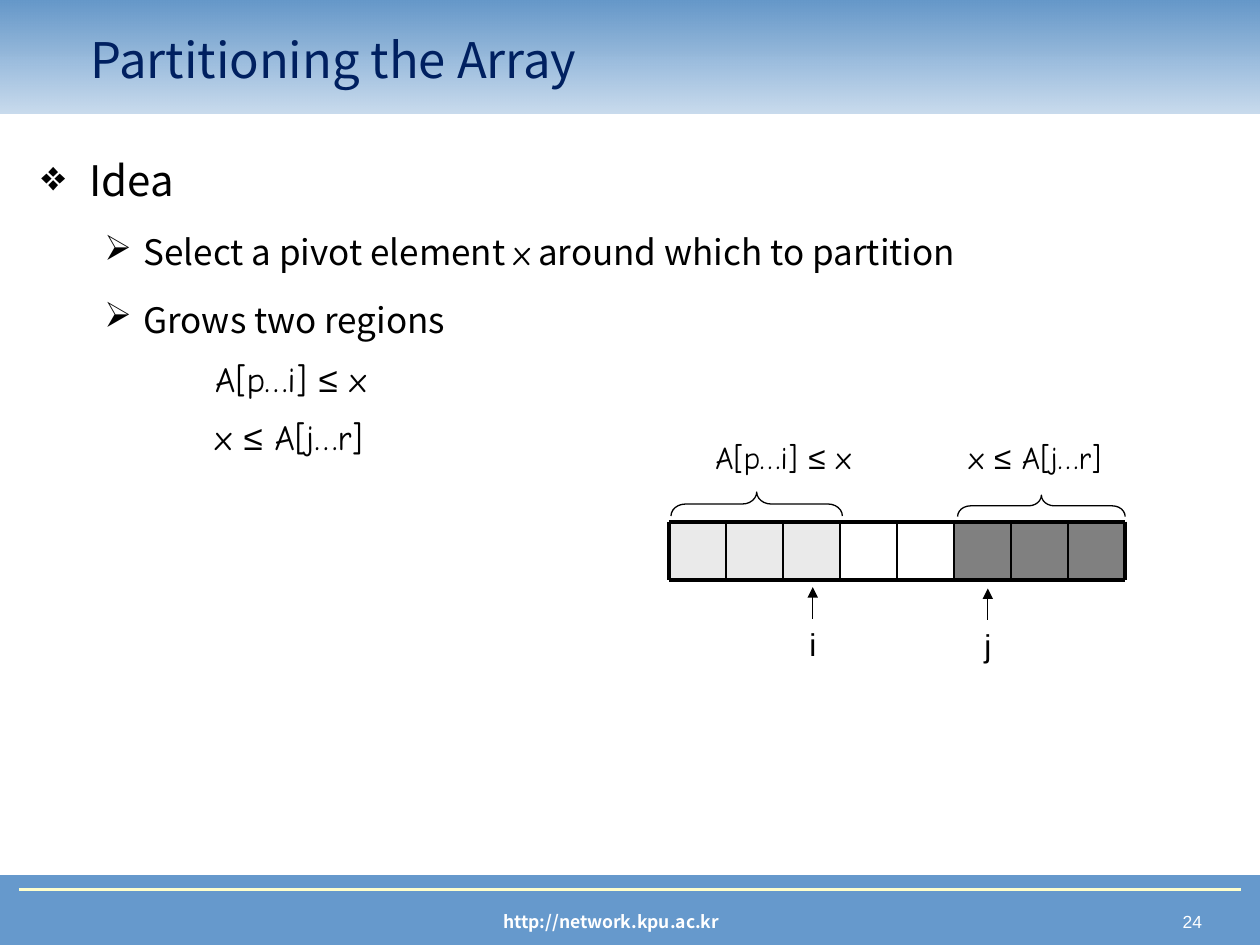
from lxml import etree
from pptx import Presentation
from pptx.dml.color import RGBColor
from pptx.enum.shapes import MSO_CONNECTOR, MSO_SHAPE
from pptx.enum.text import MSO_ANCHOR, PP_ALIGN
from pptx.oxml.ns import qn
from pptx.util import Inches, Pt

RECT, BRACE = MSO_SHAPE.RECTANGLE, MSO_SHAPE.LEFT_BRACE
STRAIGHT = MSO_CONNECTOR.STRAIGHT
LEFT, CENTER, RIGHT = PP_ALIGN.LEFT, PP_ALIGN.CENTER, PP_ALIGN.RIGHT
TOP, MIDDLE = MSO_ANCHOR.TOP, MSO_ANCHOR.MIDDLE
SANS, COMIC, ARIAL = "Noto Sans CJK KR", "Comic Neue", "Arial"
LOWER_REGION = [("A[p…i] ", COMIC), ("≤", ARIAL), (" x", COMIC)]
UPPER_REGION = [("x ", COMIC), ("≤", ARIAL), (" A[j…r]", COMIC)]


def rgb(color):
    """Turn a hex string into a colour."""
    return RGBColor.from_string(color)


def add_box(slide, frame, fill=None, line=None, kind=RECT, width=0.75):
    """Add a preset shape with an optional fill and outline."""
    box = slide.shapes.add_shape(kind, *map(Inches, frame))
    box.shadow.inherit = False
    if fill:
        box.fill.solid()
        box.fill.fore_color.rgb = rgb(fill)
    else:
        box.fill.background()
    if line:
        box.line.color.rgb = rgb(line)
        box.line.width = Pt(width)
    else:
        box.line.fill.background()
    return box


def add_header(slide):
    """Add the title band, which fades out towards its bottom edge."""
    band = add_box(slide, (0, 0, 10, 0.9))
    band.fill.gradient()
    band.fill.gradient_angle = 90
    for stop, color in zip(band.fill.gradient_stops, ("6699CC", "6497C9")):
        stop.color.rgb = rgb(color)
    faded = band.element.find(".//" + qn("a:srgbClr"))
    etree.SubElement(faded, qn("a:alpha"), val="35000")


def add_line(slide, start, end, color="000000", width=0.75, arrow=False):
    """Add a straight line, with an arrowhead at its end if wanted."""
    line = slide.shapes.add_connector(STRAIGHT, *map(Inches, start + end))
    line.line.color.rgb = rgb(color)
    line.line.width = Pt(width)
    if arrow:
        outline = line.element.spPr.find(qn("a:ln"))
        etree.SubElement(outline, qn("a:tailEnd"), type="triangle")
    etree.SubElement(line.element.spPr, qn("a:effectLst"))
    return line


def add_text_box(slide, frame, wrap=True, anchor=TOP):
    """Add an empty text box."""
    box = slide.shapes.add_textbox(*map(Inches, frame))
    box.text_frame.word_wrap = wrap
    box.text_frame.vertical_anchor = anchor
    return box


def write(paragraph, runs, size, color="000000", bold=False, align=LEFT):
    """Fill a paragraph with (text, font name) runs."""
    paragraph.alignment = align
    for words, font_name in runs:
        run = paragraph.add_run()
        run.text = words
        run.font.name = font_name
        run.font.size = Pt(size)
        run.font.bold = bold
        run.font.color.rgb = rgb(color)


def add_label(slide, frame, runs, size, wrap=True, anchor=TOP, **style):
    """Add a text box holding one paragraph."""
    box = add_text_box(slide, frame, wrap, anchor)
    write(box.text_frame.paragraphs[0], runs, size, **style)
    return box


def indent(paragraph, margin, hanging=0, bullet=None):
    """Set the left margin, hanging indent and bullet of a paragraph."""
    properties = paragraph._p.get_or_add_pPr()
    properties.set("marL", str(Inches(margin)))
    properties.set("indent", str(-Inches(hanging)))
    if bullet:
        etree.SubElement(properties, qn("a:buChar"), char=bullet)


def add_outline(slide):
    """Add the bulleted body text."""
    select = [("Select a pivot element ", SANS), ("x", COMIC),
              (" around which to partition", SANS)]
    items = [
        ([("Idea", SANS)], 24, 0, (0.38, 0.38, "❖"), 0),
        (select, 20, 5, (0.81, 0.31, "➢"), 1),
        ([("Grows two regions", SANS)], 20, 5, (0.81, 0.31, "➢"), 1),
        (LOWER_REGION, 20, 0, (1.38,), 0),
        (UPPER_REGION, 20, 0, (1.38,), 0),
    ]
    frame = add_text_box(slide, (0.23, 1.02, 9.45, 5.78)).text_frame
    for number, (runs, size, before, indents, level) in enumerate(items):
        paragraph = frame.add_paragraph() if number else frame.paragraphs[0]
        paragraph.level = level
        paragraph.line_spacing = 1.4
        if before:
            paragraph.space_before = Pt(before)
        indent(paragraph, *indents)
        write(paragraph, runs, size)


def add_array(slide):
    """Add the array cells, shaded by region, and their grid lines."""
    left, right, top, bottom, count = 5.31, 8.93, 4.14, 4.6, 8
    cell = (right - left) / count
    shades = {0: "EAEAEA", 1: "EAEAEA", 2: "EAEAEA",
              5: "808080", 6: "808080", 7: "808080"}
    for index, shade in shades.items():
        add_box(slide, (left + index * cell, top, cell, bottom - top), shade)
    for y in (top, bottom):
        add_line(slide, (left, y), (right, y), width=2.25)
    for index in range(count + 1):
        x = left + index * cell
        width = 2.25 if index in (0, count) else 1
        add_line(slide, (x, top), (x, bottom), width=width)


def add_region_brace(slide, frame):
    """Add a brace that opens down over a region of the array."""
    brace = add_box(slide, frame, line="000000", kind=BRACE)
    brace.adjustments[0] = 0.6
    brace.rotation = 90


def add_pointer(slide, name, center, top):
    """Add an index name with an arrow up to the array."""
    label = add_label(slide, (center - 0.125, top, 0.25, 0.4),
                      [(name, ARIAL)], 18, wrap=False)
    arrow = add_line(slide, (center, top), (center, top - 0.25), arrow=True)
    arrow.begin_connect(label, 0)


def main():
    """Build the slide and save it."""
    deck = Presentation()
    deck.slide_width, deck.slide_height = Inches(10), Inches(7.5)
    slide = deck.slides.add_slide(deck.slide_layouts[6])

    add_box(slide, (0, 6.95, 10, 0.55), "6699CC", "6699CC")
    page = add_label(slide, (7.42, 7.18, 2.26, 0.27), [("24", ARIAL)], 10,
                     color="FFFFFF", align=RIGHT)
    page.text_frame.margin_right = Inches(0.14)
    add_label(slide, (2.27, 7.18, 5.16, 0.27),
              [("http://network.kpu.ac.kr", SANS)], 10,
              color="FFFFFF", bold=True, align=CENTER)
    add_line(slide, (0.15, 7.06), (9.85, 7.06), "FFFFCC", 1.5)

    add_header(slide)
    add_label(slide, (0.62, 0.16, 8.44, 0.62),
              [("Partitioning the Array", SANS)], 28,
              anchor=MIDDLE, color="002060")
    add_outline(slide)

    add_array(slide)
    add_region_brace(slide, (5.91, 3.32, 0.19, 1.36))
    add_region_brace(slide, (8.18, 3.35, 0.17, 1.33))
    add_label(slide, (5.58, 3.43, 1.43, 0.4), LOWER_REGION, 18, wrap=False)
    add_label(slide, (7.59, 3.43, 1.31, 0.4), UPPER_REGION, 18, wrap=False)
    add_pointer(slide, "i", 6.45, 4.91)
    add_pointer(slide, "j", 7.84, 4.92)

    deck.save("out.pptx")


if __name__ == "__main__":
    main()
